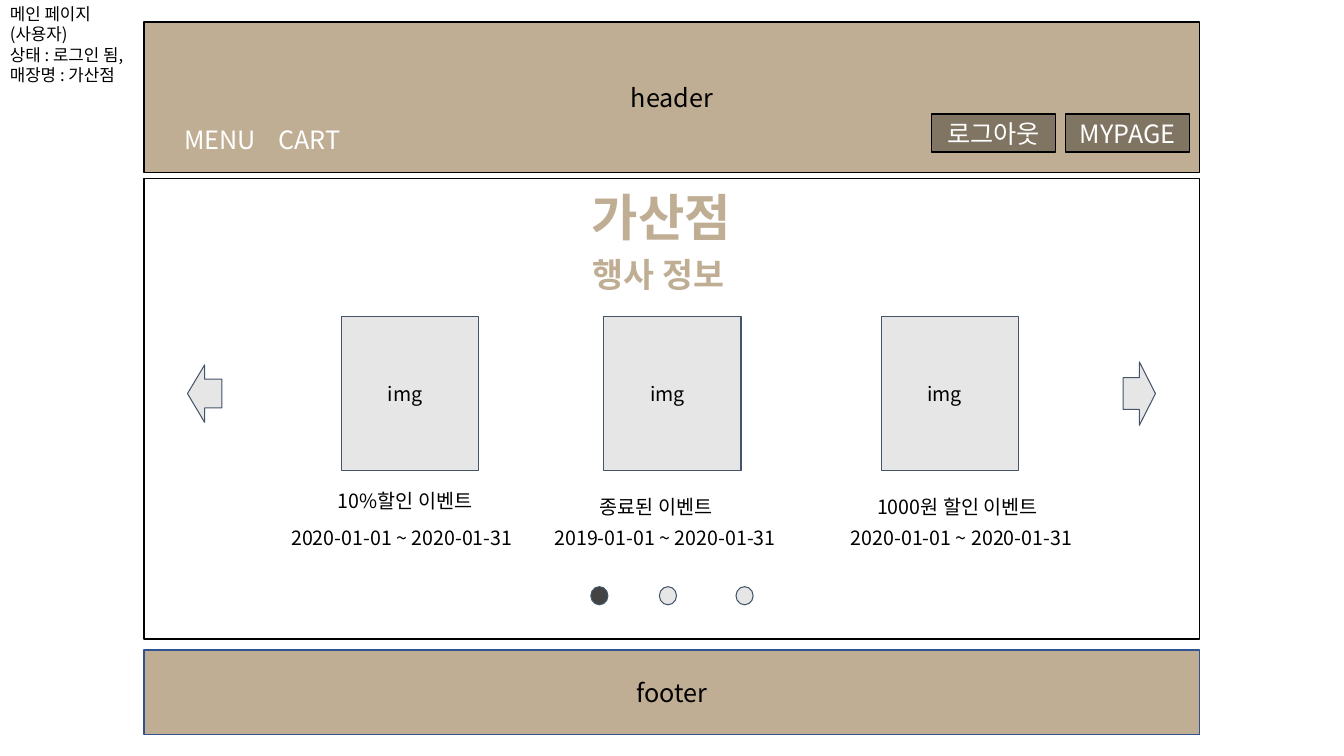
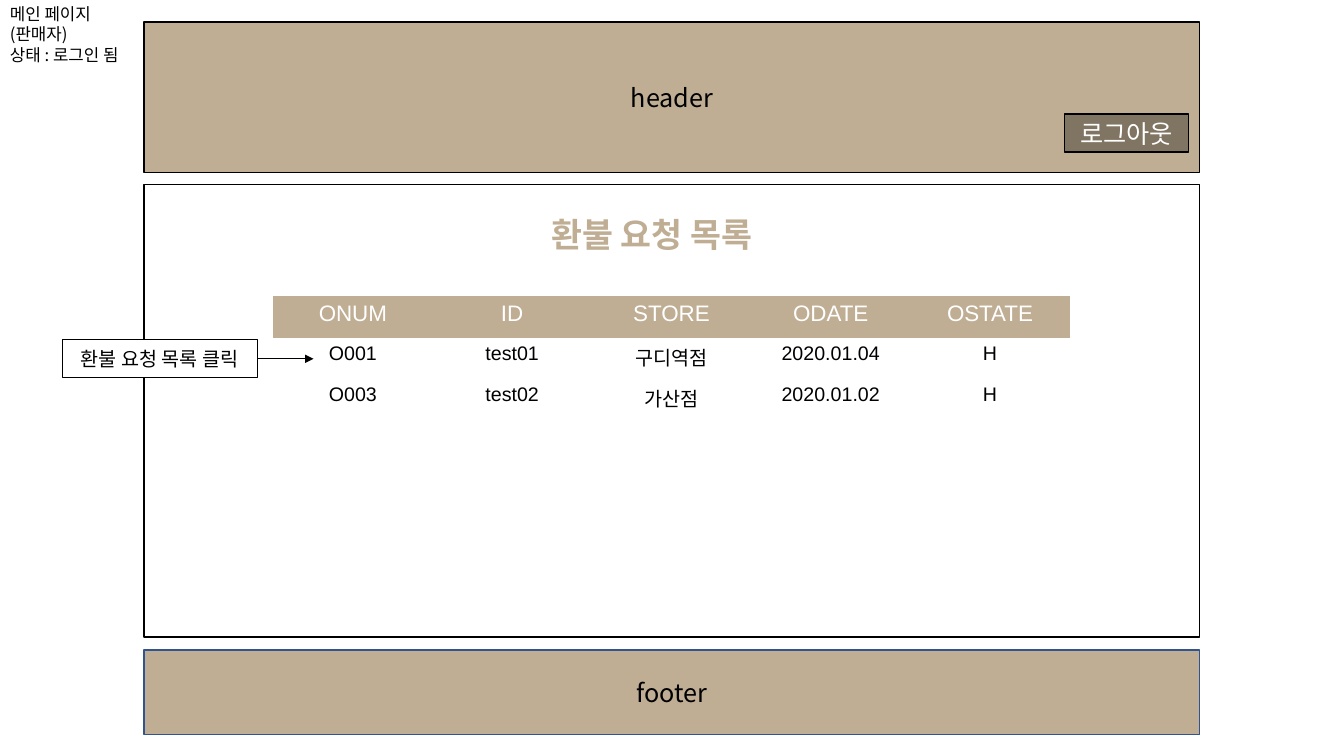
from pptx import Presentation
from pptx.dml.color import RGBColor
from pptx.enum import shapes, text
from pptx.oxml import parse_xml
from pptx.oxml.ns import nsdecls, qn
from pptx.util import Inches, Pt

SANS = "Noto Sans CJK KR"
LATIN = "Arial"
BLACK, WHITE = "000000", "FFFFFF"
TAN, BROWN = "BFAE93", "807462"
GREY, DARK = "E7E6E6", "434343"
SLATE, BLUE = "44546A", "31538F"
LEFT, WIDTH = 1.43, 10.47
PLAIN = "{2D5ABB26-0587-4C30-8999-92F81FD0307C}"
KIND = shapes.MSO_SHAPE
LEAD, MID = text.PP_ALIGN.LEFT, text.PP_ALIGN.CENTER

EVENTS = [
    (3.39, 2.79, 4.8, "10%할인 이벤트", "2020-01-01 ~ 2020-01-31"),
    (5.99, 5.4, 4.86, "종료된 이벤트", "2019-01-01 ~ 2020-01-31"),
    (8.74, 8.34, 4.86, "1000원 할인 이벤트", "2020-01-01 ~ 2020-01-31"),
]
DOTS = [(5.86, DARK), (6.54, GREY), (7.3, GREY)]
ORDERS = [
    ["ONUM", "ID", "STORE", "ODATE", "OSTATE"],
    ["O001", "test01", "구디역점", "2020.01.04", "H"],
    ["O003", "test02", "가산점", "2020.01.02", "H"],
    [""] * 5,
]


def rgb(code):
    return RGBColor.from_string(code)


def write(frame, words, size, color, align=LEAD, font=SANS, bold=False):
    """Fill a text frame, one paragraph for each line of words."""
    frame.text = words
    for para in frame.paragraphs:
        para.alignment = align
        para.font.size = Pt(size)
        para.font.name = font
        para.font.bold = bold
        para.font.color.rgb = rgb(color)


def label(slide, x, y, w, h, words, size=14, color=BLACK):
    frame = slide.shapes.add_textbox(
        Inches(x), Inches(y), Inches(w), Inches(h)).text_frame
    frame.word_wrap = True
    write(frame, words, size, color)


def block(slide, x, y, w, h, fill, line=BLACK, width=1, kind=KIND.RECTANGLE):
    shape = slide.shapes.add_shape(
        kind, Inches(x), Inches(y), Inches(w), Inches(h))
    shape.shadow.inherit = False
    shape.fill.solid()
    shape.fill.fore_color.rgb = rgb(fill)
    shape.line.color.rgb = rgb(line)
    shape.line.width = Pt(width)
    return shape


def icon(slide, x, y, w, h, fill=GREY, kind=KIND.RECTANGLE):
    return block(slide, x, y, w, h, fill, SLATE, 0.75, kind)


def band(slide, y, h, words, line=BLACK):
    shape = block(slide, LEFT, y, WIDTH, h, TAN, line)
    write(shape.text_frame, words, 18, BLACK, MID)


def button(slide, x, words):
    shape = block(slide, x, 1.13, 1.23, 0.38, BROWN)
    write(shape.text_frame, words, 18, WHITE, MID)


def title(slide, x, y, w, h, words, size):
    """Place the title in front of the page panel."""
    shape = slide.shapes.title
    shape.left, shape.top = Inches(x), Inches(y)
    shape.width, shape.height = Inches(w), Inches(h)
    frame = shape.text_frame
    frame.auto_size = text.MSO_AUTO_SIZE.NONE
    frame.vertical_anchor = text.MSO_ANCHOR.TOP
    write(frame, words, size, TAN, bold=True)
    shape.element.getparent().append(shape.element)


def page(deck, note, top, height):
    """Add a slide with its note, header, footer and white panel."""
    slide = deck.slides.add_slide(deck.slide_layouts[5])
    band(slide, 0.22, 1.49, "header")
    band(slide, 6.45, 0.84, "footer", BLUE)
    block(slide, LEFT, top, WIDTH, height, WHITE)
    label(slide, 0, -0.01, 1.63, 0.91, note, 12)
    return slide


def event(slide, x, left, y, name, dates):
    frame = icon(slide, x, 3.14, 1.36, 1.53).text_frame
    frame.margin_right = Inches(0.2)
    write(frame, "img", 14, BLACK, MID)
    label(slide, x - 0.14, y, 2.02, 0.4, name)
    label(slide, left, 5.17, 2.54, 0.4, dates)


def table(slide, x, y, rows, wide, high):
    grid = slide.shapes.add_table(
        len(rows), len(rows[0]), Inches(x), Inches(y),
        Inches(wide * len(rows[0])), Inches(high * len(rows))).table
    grid.first_row = grid.horz_banding = False
    for style in grid._tbl.iter(qn("a:tableStyleId")):
        style.text = PLAIN
    for r, row in enumerate(rows):
        size, color = (14, BLACK) if r else (16, WHITE)
        for c, words in enumerate(row):
            cell = grid.cell(r, c)
            if r:
                cell.fill.background()
            else:
                cell.fill.solid()
                cell.fill.fore_color.rgb = rgb(TAN)
            write(cell.text_frame, words, size, color, MID, LATIN)


def arrow(slide, start, x, y):
    """Draw an arrow from the right side of a shape to a point."""
    line = slide.shapes.add_connector(
        shapes.MSO_CONNECTOR.STRAIGHT, 0, 0, Inches(x), Inches(y))
    line.begin_connect(start, 3)
    line.line.color.rgb = rgb(BLACK)
    line.line.width = Pt(0.75)
    line.line._get_or_add_ln().append(
        parse_xml(f'<a:tailEnd {nsdecls("a")} type="triangle"/>'))
    line.element.spPr.append(parse_xml(f'<a:effectLst {nsdecls("a")}/>'))


def hangul(slide):
    """Give all text the Korean font beside its Latin one."""
    for latin in list(slide.element.iter(qn("a:latin"))):
        latin.addnext(parse_xml(
            f'<a:ea {nsdecls("a")} typeface="{SANS}"/>'))


def shop(deck):
    slide = page(deck, "메인 페이지\n(사용자)\n상태 : 로그인 됨,\n매장명 : 가산점",
                 1.77, 4.57)
    button(slide, 9.24, "로그아웃")
    button(slide, 10.57, "MYPAGE")
    for x, words in [(1.73, "MENU"), (2.66, "CART")]:
        label(slide, x, 1.18, 1, 0.4, words, 18, WHITE)
    title(slide, 5.77, 1.8, 1.77, 0.71, "가산점", 36)
    frame = slide.shapes.add_textbox(
        Inches(5.78), Inches(2.47), Inches(1.76), Inches(0.5)).text_frame
    frame.word_wrap = True
    write(frame, "행사 정보", 24, TAN, bold=True)
    for item in EVENTS:
        event(slide, *item)
    for x, fill in DOTS:
        icon(slide, x, 5.82, 0.17, 0.18, fill, KIND.OVAL)
    icon(slide, 1.86, 3.62, 0.34, 0.57, kind=KIND.LEFT_ARROW)
    icon(slide, 11.14, 3.59, 0.32, 0.63, kind=KIND.RIGHT_ARROW)


def refunds(deck):
    slide = page(deck, "메인 페이지\n(판매자)\n상태 : 로그인 됨", 1.83, 4.49)
    button(slide, 10.56, "로그아웃")
    title(slide, 5.37, 2.07, 2.59, 0.5, "환불 요청 목록", 24)
    table(slide, 2.71, 2.94, ORDERS, 1.58, 0.41)
    hint = block(slide, 0.62, 3.37, 1.93, 0.38, WHITE, width=0.75)
    write(hint.text_frame, "환불 요청 목록 클릭", 14, BLACK, MID, LATIN)
    arrow(slide, hint, 3.11, 3.56)


def main():
    deck = Presentation()
    deck.slide_width, deck.slide_height = Inches(13.33), Inches(7.5)
    shop(deck)
    refunds(deck)
    for slide in deck.slides:
        hangul(slide)
    deck.save("out.pptx")


if __name__ == "__main__":
    main()
